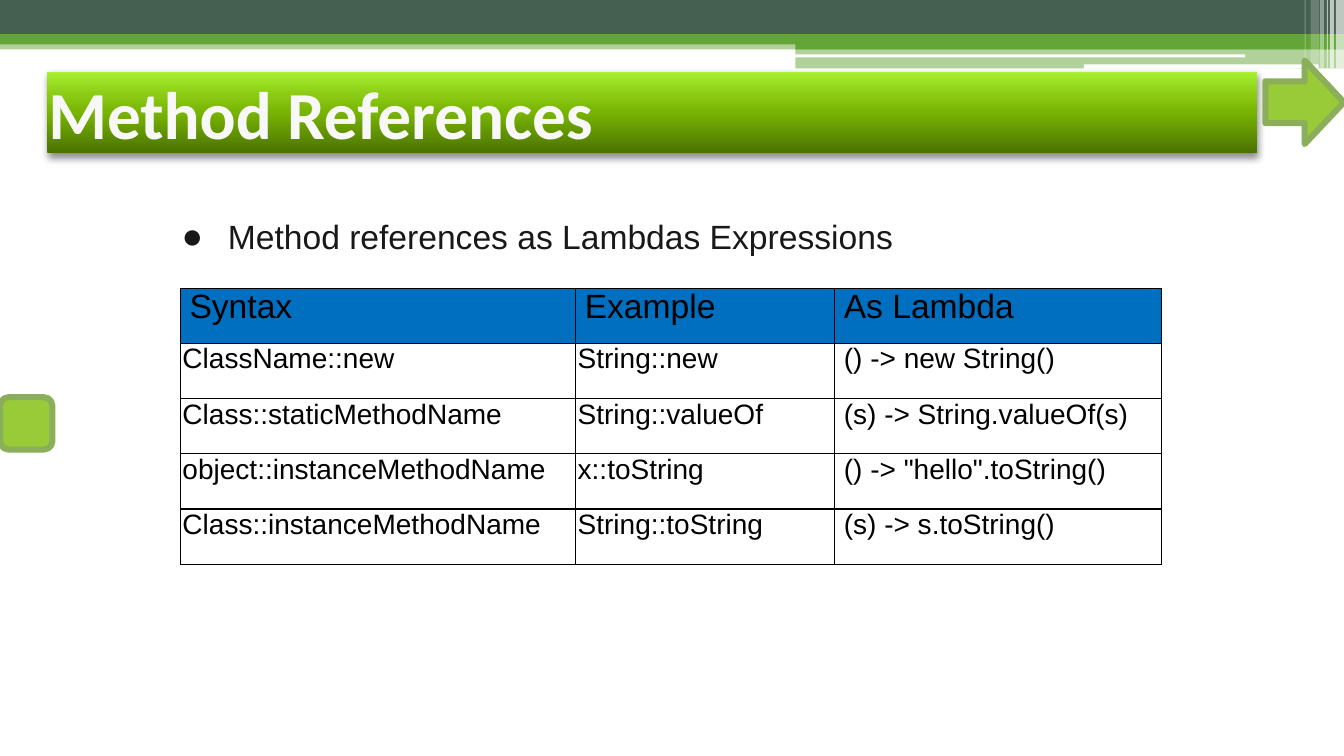
from lxml import etree
from pptx import Presentation
from pptx.dml.color import RGBColor
from pptx.enum.shapes import MSO_SHAPE
from pptx.enum.text import MSO_ANCHOR, MSO_AUTO_SIZE, PP_ALIGN
from pptx.oxml.ns import qn
from pptx.util import Inches, Pt

RECT, ROUND = MSO_SHAPE.RECTANGLE, MSO_SHAPE.ROUNDED_RECTANGLE
ARROW = MSO_SHAPE.RIGHT_ARROW
LEFT, MIDDLE, TOP = PP_ALIGN.LEFT, MSO_ANCHOR.MIDDLE, MSO_ANCHOR.TOP
NO_FIT = MSO_AUTO_SIZE.NONE

COLORS = {
    "slate": "455F51", "green": "63A537", "lime": "99CB38", "edge": "8AAE59",
    "white": "FFFFFF", "title": "F8F8F8", "ink": "181818", "black": "000000",
    "head": "006FC0",
}
SHADE = [(0, "4B7200"), (50, "78B403"), (70, "8AC914"), (100, "A8F030")]
WIDTH, HEIGHT = 13.33, 7.5
ROWS = [
    ("Syntax", "Example", "As Lambda"),
    ("ClassName::new", "String::new", "() -> new String()"),
    ("Class::staticMethodName", "String::valueOf", "(s) -> String.valueOf(s)"),
    ("object::instanceMethodName", "x::toString", '() -> "hello".toString()'),
    ("Class::instanceMethodName", "String::toString", "(s) -> s.toString()"),
]


def color(name):
    return RGBColor.from_string(COLORS[name])


def add(parent, tag, **attrs):
    node = etree.SubElement(parent, qn(tag))
    for key, value in attrs.items():
        node.set(key, str(value))
    return node


def place(shape, box):
    shape.left, shape.top, shape.width, shape.height = map(Inches, box)


def style(par, size, name, font="Arial", bold=False):
    par.alignment = LEFT
    par.font.size, par.font.name, par.font.bold = Pt(size), font, bold
    par.font.color.rgb = color(name)


def clear(frame, anchor):
    frame.margin_left = frame.margin_right = 0
    frame.margin_top = frame.margin_bottom = 0
    frame.word_wrap, frame.auto_size = True, NO_FIT
    frame.vertical_anchor = anchor


def block(slide, kind, box, fill, alpha=100, edge=None):
    shape = slide.shapes.add_shape(kind, *map(Inches, box))
    shape.shadow.inherit = False
    shape.fill.solid()
    shape.fill.fore_color.rgb = color(fill)
    if alpha < 100:
        tint = shape.fill._xPr.find(".//" + qn("a:srgbClr"))
        add(tint, "a:alpha", val=alpha * 1000)
    if edge:
        shape.line.color.rgb = color(edge)
        shape.line.width = Pt(4.33)
    else:
        shape.line.fill.background()


def banner(slide, box):
    x, y, w, h = box
    right = x + w
    # Full-width bands
    block(slide, RECT, (x, y + 0.4, w, 0.09), "green", 50)
    block(slide, RECT, (x, y, w, 0.34), "slate")
    block(slide, RECT, (x, y + 0.34, w, 0.1), "green")
    # Steps at the right
    block(slide, RECT, (right - 5.44, y + 0.39, 5.44, 0.1), "green")
    block(slide, RECT, (right - 5.44, y + 0.48, 5.44, 0.2), "green", 50)
    block(slide, ROUND, (right - 5.45, y + 0.54, 4.47, 0.03), "white")
    block(slide, ROUND, (right - 2.58, y + 0.64, 2.33, 0.04), "white")
    # Pale upright stripes: offset from the right, width, height, opacity
    for gap, wide, tall, alpha in [
        (0.08, 0.08, h, 65), (0.14, 0.04, h, 65), (0.17, 0.01, h, 60),
        (0.24, 0.04, h, 40), (0.33, 0.08, 0.64, 20), (0.39, 0.01, 0.64, 30),
    ]:
        block(slide, RECT, (right - gap, y, wide, tall), "white", alpha)


def heading(slide, box):
    title = slide.shapes.title
    place(title, box)
    title.text_frame.text = "Method References"
    clear(title.text_frame, MIDDLE)
    title.text_frame.margin_left = Inches(0.01)
    style(title.text_frame.paragraphs[0], 48, "title", "Calibri", True)
    # Gradient and shadow
    props = title._element.spPr
    grad = add(props, "a:gradFill", rotWithShape=1)
    stops = add(grad, "a:gsLst")
    for pos, shade in SHADE:
        add(add(stops, "a:gs", pos=pos * 1000), "a:srgbClr", val=shade)
    add(grad, "a:lin", ang=270 * 60000, scaled=0)
    cast = add(add(props, "a:effectLst"), "a:outerShdw", blurRad=Pt(5),
               dist=Pt(3), dir=90 * 60000, rotWithShape=0)
    tint = add(cast, "a:srgbClr", val=COLORS["black"])
    add(tint, "a:alpha", val=45000)


def bullet(slide, box):
    body = slide.placeholders[1]
    place(body, box)
    body.text_frame.text = "Method references as Lambdas Expressions"
    clear(body.text_frame, TOP)
    par = body.text_frame.paragraphs[0]
    style(par, 24, "ink")
    par.space_before = Pt(0)
    props = par._p.get_or_add_pPr()
    props.set("marL", str(Inches(0.47)))
    props.set("indent", str(Inches(-0.46)))
    mark = props.find(qn("a:defRPr"))
    for tag, attrs in [("a:buSzPct", {"val": "106000"}),
                       ("a:buFont", {"typeface": "Arial"}),
                       ("a:buChar", {"char": "●"})]:
        node = etree.Element(qn(tag), attrs)
        if mark is None:
            props.append(node)
        else:
            mark.addprevious(node)


def border(cell):
    props = cell._tc.get_or_add_tcPr()
    for spot, side in enumerate(("a:lnL", "a:lnR", "a:lnT", "a:lnB")):
        line = etree.Element(qn(side), w=str(Pt(1)))
        add(add(line, "a:solidFill"), "a:srgbClr", val=COLORS["black"])
        props.insert(spot, line)


def grid(slide, box):
    frame = slide.shapes.add_table(len(ROWS), 3, *map(Inches, box))
    table = frame.table
    table.first_row = table.horz_banding = False
    for col, wide in zip(table.columns, (3.92, 2.57, 3.24)):
        col.width = Inches(wide)
    for r, texts in enumerate(ROWS):
        table.rows[r].height = Inches(box[3] / len(ROWS))
        for c, text in enumerate(texts):
            cell = table.cell(r, c)
            cell.text = text
            cell.margin_right = cell.margin_top = cell.margin_bottom = 0
            cell.margin_left = Inches(0.09 if r == 0 or c == 2 else 0.02)
            style(cell.text_frame.paragraphs[0], 20 if r else 24, "black")
            if r:
                cell.fill.background()
            else:
                cell.fill.solid()
                cell.fill.fore_color.rgb = color("head")
            border(cell)


def main():
    deck = Presentation()
    deck.slide_width, deck.slide_height = Inches(WIDTH), Inches(HEIGHT)
    slide = deck.slides.add_slide(deck.slide_layouts[1])
    banner(slide, (0, 0, WIDTH, 0.68))
    # Side markers
    block(slide, ARROW, (12.55, 0.6, 0.78, 0.83), "lime", edge="edge")
    block(slide, ROUND, (0, 3.94, 0.52, 0.52), "lime", edge="edge")
    heading(slide, (0.47, 0.71, 12, 0.81))
    bullet(slide, (1.79, 2.14, 7.08, 0.4))
    grid(slide, (1.79, 2.86, 9.73, 2.74))
    deck.save("out.pptx")


if __name__ == "__main__":
    main()
